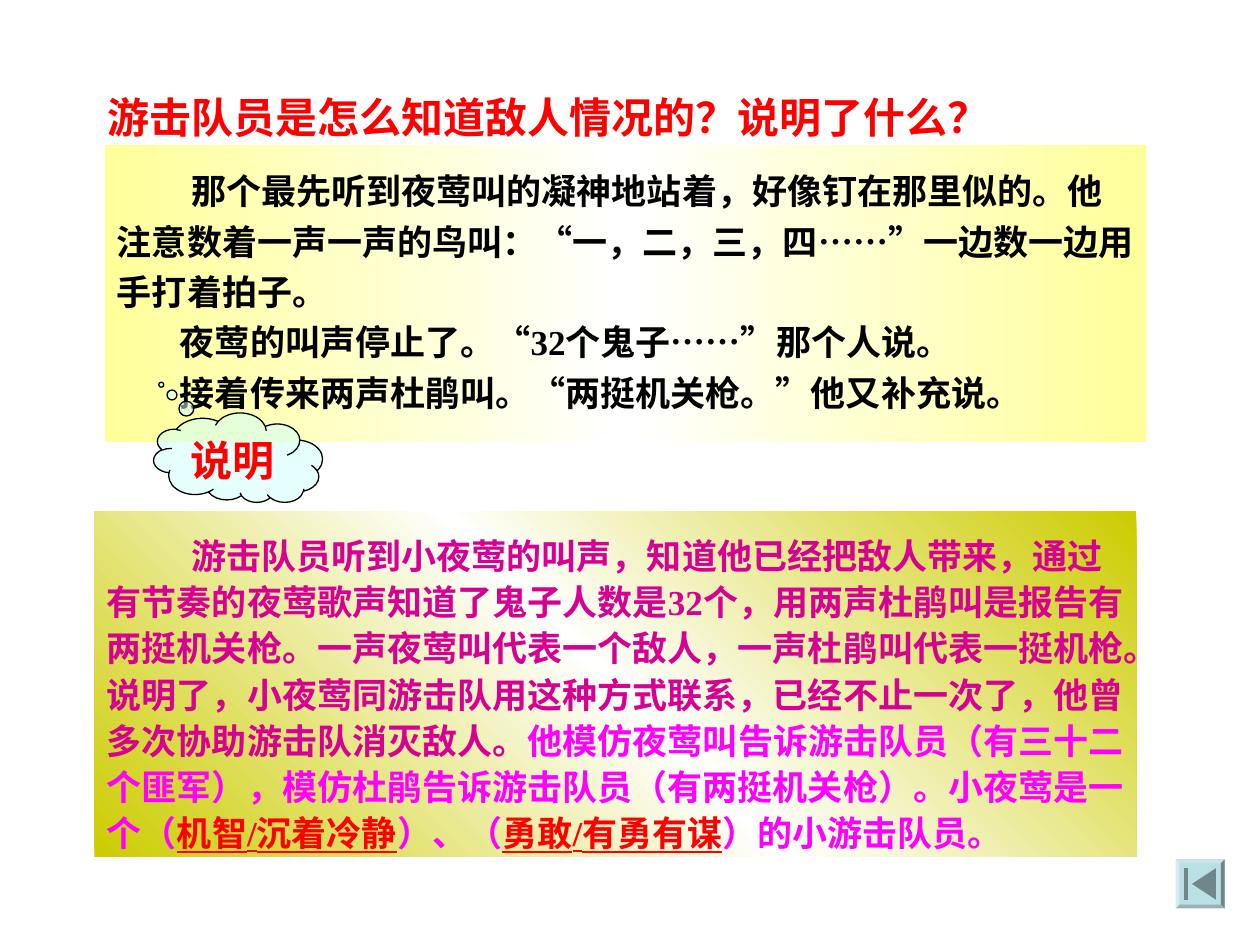
from copy import deepcopy

from lxml import etree
from pptx import Presentation
from pptx.dml.color import RGBColor
from pptx.enum.shapes import MSO_SHAPE
from pptx.enum.text import MSO_ANCHOR, MSO_AUTO_SIZE, PP_ALIGN
from pptx.oxml.ns import qn
from pptx.util import Inches, Pt

RECTANGLE, CLOUD = MSO_SHAPE.RECTANGLE, MSO_SHAPE.CLOUD_CALLOUT
TOP, MIDDLE = MSO_ANCHOR.TOP, MSO_ANCHOR.MIDDLE
LEFT, CENTER = PP_ALIGN.LEFT, PP_ALIGN.CENTER
NO_AUTOFIT = MSO_AUTO_SIZE.NONE

BLACK = RGBColor(0x00, 0x00, 0x00)
WHITE = RGBColor(0xFF, 0xFF, 0xFF)
RED = RGBColor(0xFF, 0x00, 0x00)
PURPLE = RGBColor(0xD6, 0x00, 0x93)
MAGENTA = RGBColor(0xFF, 0x00, 0xFF)
PALE_YELLOW = RGBColor(0xFF, 0xFF, 0x99)
OLIVE = RGBColor(0xCC, 0xCC, 0x00)
PALE_CYAN = RGBColor(0xCC, 0xFF, 0xFF)
BUTTON_FACE = RGBColor(0xBB, 0xE0, 0xE3)
BUTTON_TOP = RGBColor(0xC8, 0xE6, 0xE9)
BUTTON_LEFT = RGBColor(0xD6, 0xEC, 0xEE)
BUTTON_BOTTOM = RGBColor(0x96, 0xB3, 0xB6)
BUTTON_DARK = RGBColor(0x70, 0x86, 0x88)

LATIN_FONT, CHINESE_FONT = "Times New Roman", "Noto Sans CJK SC"


def add_text(paragraph, text, size=20, color=BLACK, underline=False, latin=LATIN_FONT):
    run = paragraph.add_run()
    run.text = text
    font = run.font
    font.name, font.size, font.bold = latin, Pt(size), True
    font.color.rgb = color
    if underline:
        font.underline = True
    latin_element = run._r.rPr.find(qn("a:latin"))
    east_asian = etree.Element(qn("a:ea"), typeface=CHINESE_FONT)
    latin_element.addnext(east_asian)


class SlideBuilder:
    def __init__(self, slide):
        self.slide = slide

    def frame(self, shape, anchor=TOP, top_inset=0.05):
        frame = shape.text_frame
        frame.word_wrap = True
        frame.auto_size = NO_AUTOFIT
        frame.vertical_anchor = anchor
        frame.margin_left = frame.margin_right = Inches(0.1)
        frame.margin_top, frame.margin_bottom = Inches(top_inset), Inches(0.05)
        return frame

    def title(self, text, left, top, width, height):
        title = self.slide.shapes.title
        title.left, title.top = Inches(left), Inches(top)
        title.width, title.height = Inches(width), Inches(height)
        paragraph = self.frame(title).paragraphs[0]
        paragraph.alignment, paragraph.line_spacing = LEFT, 1.2
        add_text(paragraph, text, size=24, color=RED, latin=CHINESE_FONT)

    def panel(self, left, top, width, height, edge, angle, paragraphs,
              line_spacing, top_inset):
        """Gradient panel; paragraphs are (first-line indent, runs) pairs."""
        panel = self.slide.shapes.add_shape(
            RECTANGLE, Inches(left), Inches(top), Inches(width), Inches(height))
        panel.shadow.inherit = False
        panel.line.fill.background()
        panel.fill.gradient()
        panel.fill.gradient_angle = angle
        first_stop = panel._element.spPr.find(qn("a:gradFill")).find(qn("a:gsLst"))[0]
        first_stop.addnext(deepcopy(first_stop))
        for stop, position, color in zip(
                panel.fill.gradient_stops, (0, 0.5, 1), (edge, WHITE, edge)):
            stop.position, stop.color.rgb = position, color

        frame = self.frame(panel, top_inset=top_inset)
        for index, (indent, runs) in enumerate(paragraphs):
            paragraph = frame.add_paragraph() if index else frame.paragraphs[0]
            paragraph._p.get_or_add_pPr().set("indent", str(Inches(indent)))
            paragraph.alignment, paragraph.line_spacing = LEFT, line_spacing
            for text, style in runs:
                add_text(paragraph, text, **style)

    def cloud(self, text, left, top, width, height, tail):
        cloud = self.slide.shapes.add_shape(
            CLOUD, Inches(left), Inches(top), Inches(width), Inches(height))
        cloud.shadow.inherit = False
        for index, value in enumerate(tail):
            cloud.adjustments[index] = value
        cloud.fill.solid()
        cloud.fill.fore_color.rgb = PALE_CYAN
        solid = cloud._element.spPr.find(qn("a:solidFill"))
        etree.SubElement(solid[0], qn("a:alpha"), val="51000")
        cloud.line.color.rgb, cloud.line.width = BLACK, Pt(0.75)
        # The cloud is flipped, so its text is turned upright again
        cloud._element.spPr.find(qn("a:xfrm")).set("flipV", "1")
        frame = self.frame(cloud, anchor=MIDDLE)
        frame._txBody.bodyPr.set("rot", "10800000")
        frame.paragraphs[0].alignment = CENTER
        add_text(frame.paragraphs[0], text, size=24, color=RED)

    def polygon(self, points, color):
        start, *rest = [(Inches(x), Inches(y)) for x, y in points]
        builder = self.slide.shapes.build_freeform(*start)
        builder.add_line_segments(rest, close=True)
        polygon = builder.convert_to_shape()
        polygon.shadow.inherit = False
        polygon.fill.solid()
        polygon.fill.fore_color.rgb = color
        polygon.line.fill.background()

    def back_button(self, left, top, size, bevel):
        right, bottom = left + size, top + size
        outer = [(left, top), (right, top), (right, bottom), (left, bottom)]
        inner = [(left + bevel, top + bevel), (right - bevel, top + bevel),
                 (right - bevel, bottom - bevel), (left + bevel, bottom - bevel)]
        self.polygon(outer, BUTTON_FACE)
        sides = (BUTTON_TOP, BUTTON_DARK, BUTTON_BOTTOM, BUTTON_LEFT)
        for side, color in enumerate(sides):
            after = (side + 1) % 4
            self.polygon([outer[side], outer[after], inner[after], inner[side]], color)
        # Arrow and bar
        middle, icon_top, icon_bottom = top + size / 2, top + 0.07, bottom - 0.07
        arrow_tip, arrow_base = left + 0.13, right - 0.07
        bar_left, bar_right = left + 0.07, left + 0.1
        self.polygon([(arrow_tip, middle), (arrow_base, icon_top),
                      (arrow_base, icon_bottom)], BUTTON_DARK)
        self.polygon([(bar_left, icon_top), (bar_right, icon_top),
                      (bar_right, icon_bottom), (bar_left, icon_bottom)], BUTTON_DARK)


def main():
    presentation = Presentation()
    presentation.slide_width, presentation.slide_height = Inches(10), Inches(7.5)
    title_only = presentation.slide_layouts[5]
    builder = SlideBuilder(presentation.slides.add_slide(title_only))

    # Answer
    purple, magenta = {"color": PURPLE}, {"color": MAGENTA}
    keyword = {"color": RED, "underline": True}
    answer = [
        ("游击队员听到小夜莺的叫声，知道他已经把敌人带来，通过有节奏的夜莺歌声知道了"
         "鬼子人数是32个，用两声杜鹃叫是报告有两挺机关枪。一声夜莺叫代表一个敌人，"
         "一声杜鹃叫代表一挺机枪。说明了，小夜莺同游击队用这种方式联系，已经不止一次了，"
         "他曾多次协助游击队消灭敌人。", purple),
        ("他模仿夜莺叫告诉游击队员（有三十二个匪军），模仿杜鹃告诉游击队员"
         "（有两挺机关枪）。小夜莺是一个（", magenta),
        ("机智/沉着冷静", keyword),
        ("）、（", magenta),
        ("勇敢/有勇有谋", keyword),
        ("）的小游击队员。", magenta),
    ]
    builder.panel(0.75, 4.06, 8.27, 2.74, OLIVE, 45, [(0.67, answer)],
                  line_spacing=1.1, top_inset=0.15)

    # Question
    builder.title("游击队员是怎么知道敌人情况的？说明了什么？", 0.75, 0.6, 8.35, 0.58)

    # Passage from the story
    passage = [
        (0.59, "那个最先听到夜莺叫的凝神地站着，好像钉在那里似的。他注意数着一声一声的鸟叫："
               "“一，二，三，四……”一边数一边用手打着拍子。"),
        (0.5, "夜莺的叫声停止了。“32个鬼子……”那个人说。"),
        (0.5, "接着传来两声杜鹃叫。“两挺机关枪。”他又补充说。"),
    ]
    builder.panel(0.83, 1.15, 8.27, 2.36, PALE_YELLOW, 0,
                  [(indent, [(text, {})]) for indent, text in passage],
                  line_spacing=1.2, top_inset=0.13)

    # Link between passage and answer
    builder.cloud("说明", 1.22, 3.28, 1.34, 0.71, tail=(-0.455, 0.819))
    builder.back_button(9.33, 6.82, 0.39, 0.03)

    presentation.save("out.pptx")


if __name__ == "__main__":
    main()
